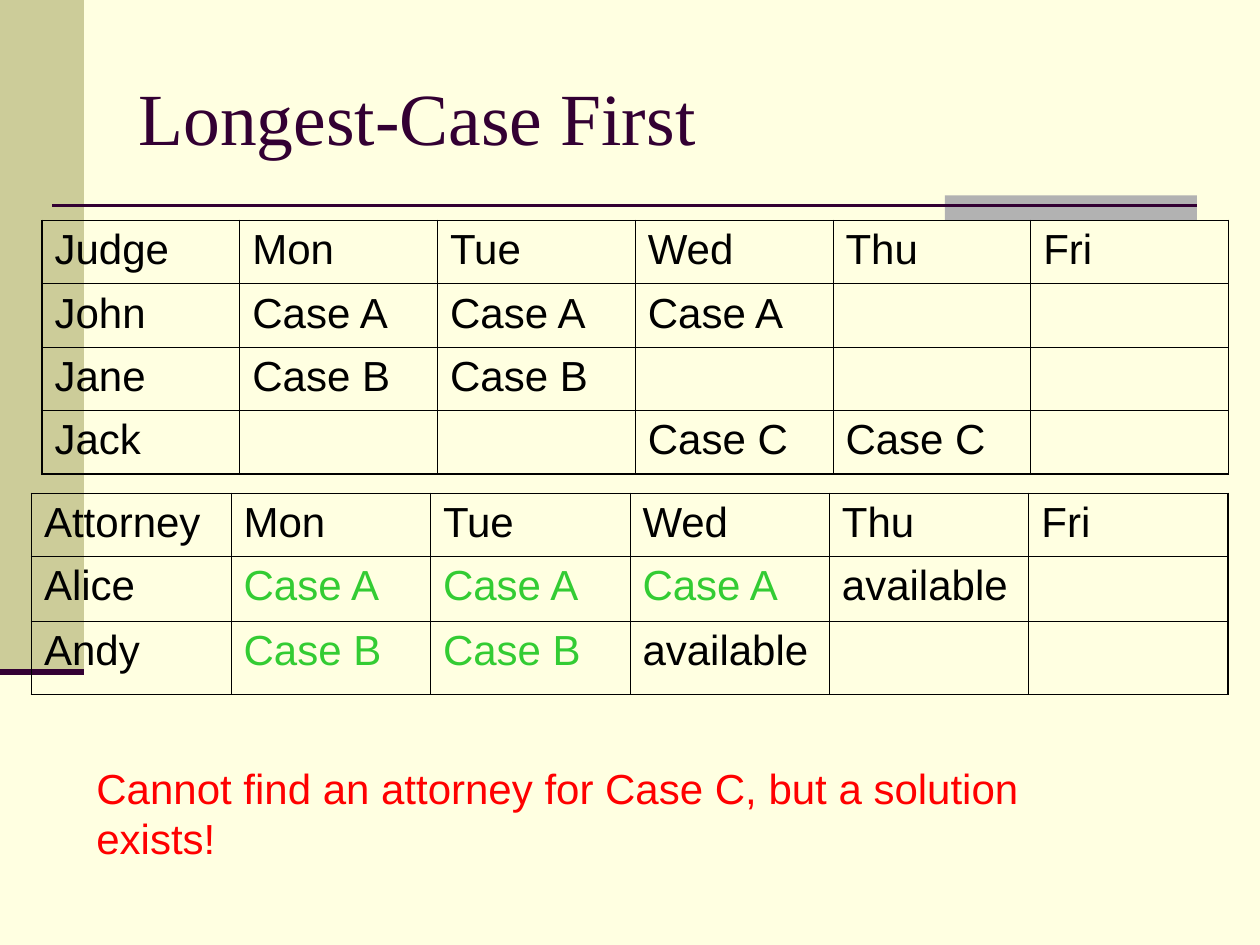
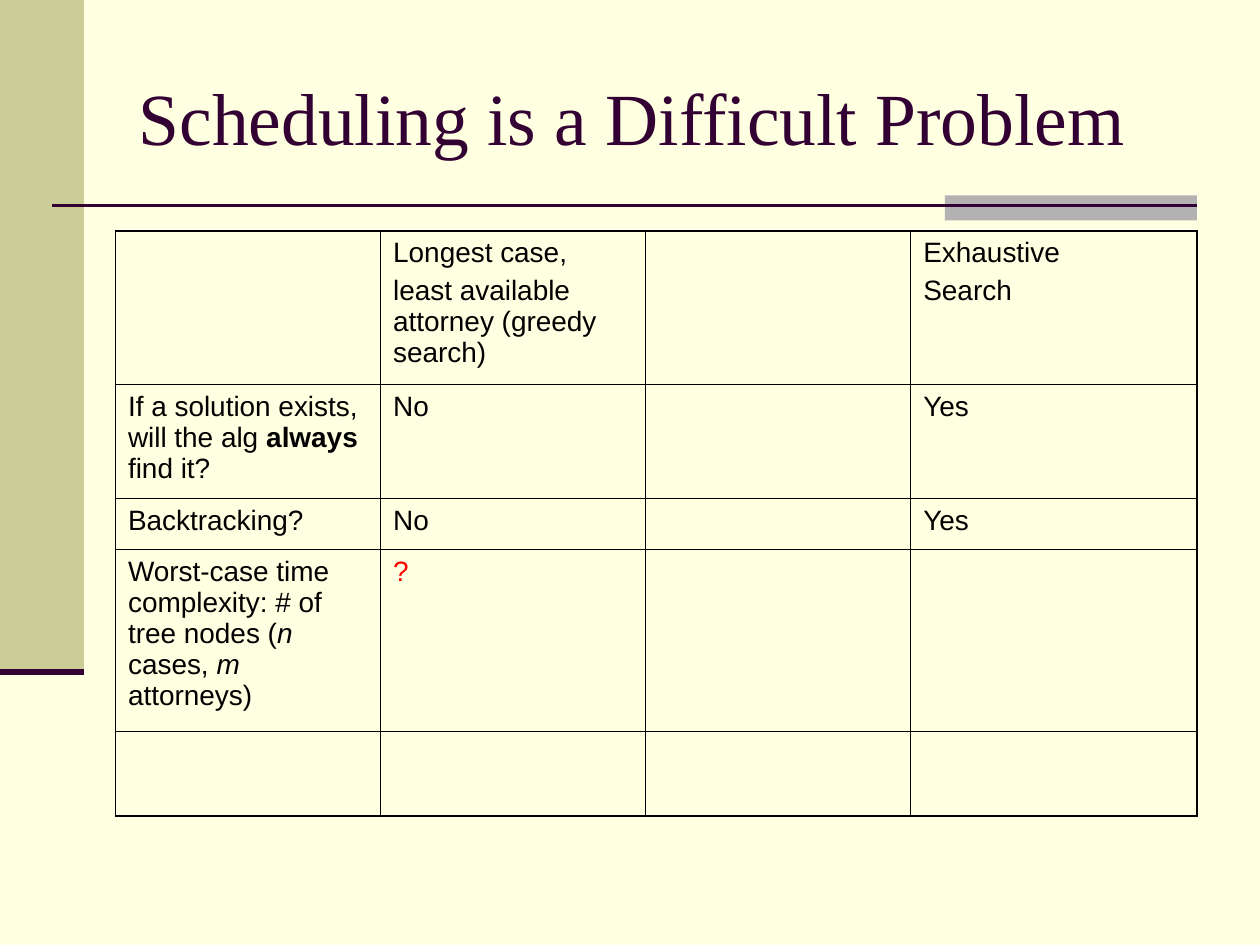
from dataclasses import dataclass

from lxml import etree
from pptx import Presentation
from pptx.dml.color import RGBColor
from pptx.enum.shapes import MSO_CONNECTOR, MSO_SHAPE
from pptx.enum.text import MSO_ANCHOR, MSO_AUTO_SIZE, PP_ALIGN
from pptx.oxml.ns import qn
from pptx.util import Inches, Pt

RECT = MSO_SHAPE.RECTANGLE
STRAIGHT = MSO_CONNECTOR.STRAIGHT
MIDDLE = MSO_ANCHOR.MIDDLE
LEFT = PP_ALIGN.LEFT
NO_FIT = MSO_AUTO_SIZE.NONE
GROW = MSO_AUTO_SIZE.SHAPE_TO_FIT_TEXT

TITLE_ONLY = 5
COLS, ROWS = 120, 90  # grid over the whole slide


@dataclass(frozen=True)
class Theme:
    paper: str = "FFFFE1"
    band: str = "CCCC99"
    tab: str = "B2B2B2"
    accent: str = "330033"
    ink: str = "000000"
    assigned: str = "33CC33"
    alert: str = "FF0000"
    title_font: str = "Times New Roman"
    body_font: str = "Arial"
    title_size: float = 42
    body_size: float = 24
    small_size: float = 16
    thin: float = 0.45
    edge: float = 1.08
    rule: float = 1.5
    heavy_rule: float = 3.5


def rgb(value):
    return RGBColor.from_string(value)


class Deck:
    def __init__(self, theme):
        self.theme = theme
        self.prs = Presentation()
        self.prs.slide_width, self.prs.slide_height = Inches(10), Inches(7.5)
        self.s = None

    # Grid
    def x(self, col):
        return round(self.prs.slide_width * col / COLS)

    def y(self, row):
        return round(self.prs.slide_height * row / ROWS)

    def box(self, col, row, width, height):
        return self.x(col), self.y(row), self.x(width), self.y(height)

    # Text
    def run(self, p, text, size, color=None, font=None, bold=False, italic=False):
        r = p.add_run()
        r.text = text
        f = r.font
        f.name, f.size = font or self.theme.body_font, Pt(size)
        f.bold, f.italic = bold, italic
        f.color.rgb = rgb(color or self.theme.ink)

    def add_text(self, tf, paragraphs, size, gap=0):
        """Each paragraph is a list of (text, style) runs."""
        for i, runs in enumerate(paragraphs):
            p = tf.add_paragraph() if i else tf.paragraphs[0]
            if i:
                p.space_before = Pt(gap)
            for text, style in runs:
                self.run(p, text, size, **style)

    # Shapes
    def rect(self, color, *area):
        sp = self.s.shapes.add_shape(RECT, *self.box(*area))
        sp.shadow.inherit = False
        sp.fill.solid()
        sp.fill.fore_color.rgb = rgb(color)
        sp.line.fill.background()
        return sp

    def rule(self, col1, col2, row, width):
        ln = self.s.shapes.add_connector(
            STRAIGHT, self.x(col1), self.y(row), self.x(col2), self.y(row))
        ln.line.color.rgb = rgb(self.theme.accent)
        ln.line.width = Pt(width)
        etree.SubElement(ln.element.spPr, qn("a:effectLst"))
        return ln

    # Slides and their shared frame
    def slide(self, title):
        self.s = self.prs.slides.add_slide(self.prs.slide_layouts[TITLE_ONLY])
        if len(self.prs.slides) == 1:
            self.frame()
        sp = self.s.shapes.title
        sp.left, sp.top, sp.width, sp.height = self.box(12, 3.6, 102, 15)
        tf = sp.text_frame
        tf.word_wrap, tf.auto_size, tf.vertical_anchor = True, NO_FIT, MIDDLE
        tf.paragraphs[0].alignment = LEFT
        style = {"color": self.theme.accent, "font": self.theme.title_font}
        self.add_text(tf, [[(title, style)]], self.theme.title_size)

    def frame(self):
        """Draw the bands and rules, then move them to the slide master."""
        t, master = self.theme, self.prs.slide_master
        master.background.fill.solid()
        master.background.fill.fore_color.rgb = rgb(t.paper)
        parts = [
            self.rect(t.band, 0, 0, 8, 64),
            self.rect(t.tab, 90, 18.6, 24, 2.4),
            self.rule(5, 114, 19.6, t.rule),
            self.rule(0, 8, 64, t.heavy_rule),
        ]
        for i, part in enumerate(parts):
            part.element.xpath(".//p:cNvPr")[0].set("id", str(100 + i))
            master.element.cSld.spTree.insert(2 + i, part.element)

    # Tables
    def border(self, cell, side, width):
        ln = etree.SubElement(cell._tc.get_or_add_tcPr(), qn(f"a:ln{side}"),
                              w=str(Pt(width)))
        fill = etree.SubElement(ln, qn("a:solidFill"))
        etree.SubElement(fill, qn("a:srgbClr"), val=self.theme.ink)

    def table(self, col, row, widths, heights, cells, size, gap=0):
        """Each cell is None, a string, or a list of paragraphs."""
        t = self.theme
        area = self.box(col, row, sum(widths), sum(heights))
        tbl = self.s.shapes.add_table(len(heights), len(widths), *area).table
        tbl.first_row = tbl.horz_banding = False
        for column, width in zip(tbl.columns, widths):
            column.width = self.x(width)
        last_r, last_c = len(heights) - 1, len(widths) - 1
        for r, height in enumerate(heights):
            tbl.rows[r].height = self.y(height)
            for c in range(len(widths)):
                cell = tbl.cell(r, c)
                outer = {"L": c == 0, "R": c == last_c, "T": r == 0, "B": r == last_r}
                for side, is_edge in outer.items():
                    self.border(cell, side, t.edge if is_edge else t.thin)
                cell.fill.background()
                content = cells[r][c]
                if content:
                    if isinstance(content, str):
                        content = [[(content, {})]]
                    self.add_text(cell.text_frame, content, size, gap)

    def caption(self, text, color, *area):
        tf = self.s.shapes.add_textbox(*self.box(*area)).text_frame
        tf.word_wrap, tf.auto_size = False, GROW
        self.add_text(tf, [[(text, {"color": color})]], self.theme.body_size)


def longest_case_first(deck):
    t = deck.theme
    days = ["Mon", "Tue", "Wed", "Thu", "Fri"]
    case_a, case_b = ([[(name, {"color": t.assigned})]] for name in ("Case A", "Case B"))
    deck.slide("Longest-Case First")

    # Judges' week
    judges = [
        ["Judge", *days],
        ["John", *["Case A"] * 3, None, None],
        ["Jane", *["Case B"] * 2, None, None, None],
        ["Jack", None, None, *["Case C"] * 2, None],
    ]
    deck.table(4, 21, [113 / 6] * 6, [6.03] * 4, judges, t.body_size)

    # Attorneys' week
    attorneys = [
        ["Attorney", *days],
        ["Alice", *[case_a] * 3, "available", None],
        ["Andy", *[case_b] * 2, "available", None, None],
    ]
    deck.table(3, 47, [19] * 6, [6, 6.15, 7], attorneys, t.body_size)

    deck.caption("Cannot find an attorney for Case C, but a solution exists!",
                 t.alert, 8, 72, 102.6, 6)


def difficult_problem(deck):
    t = deck.theme
    bold, italic = {"bold": True}, {"italic": True}
    deck.slide("Scheduling is a Difficult Problem")

    # Comparison of search methods
    greedy = [[("Longest case,", {})],
              [("least available attorney (greedy search)", {})]]
    exhaustive = [[("Exhaustive", {})], [("Search", {})]]
    finds_solution = [[("If a solution exists, will the alg ", {}),
                       ("always", bold), (" find it?", {})]]
    complexity = [[("Worst-case time complexity: # of tree nodes (", {}),
                   ("n", italic), (" cases, ", {}),
                   ("m", italic), (" attorneys)", {})]]
    unknown = [[("?", {"color": t.alert})]]
    methods = [
        [None, greedy, None, exhaustive],
        [finds_solution, "No", None, "Yes"],
        ["Backtracking?", "No", None, "Yes"],
        [complexity, unknown, None, None],
        [None] * 4,
    ]
    deck.table(11, 22, [25.25] * 3 + [27.25], [14.65, 10.85, 4.75, 17.25, 8.1],
               methods, t.small_size, gap=4)


def main():
    deck = Deck(Theme())
    longest_case_first(deck)
    difficult_problem(deck)
    deck.prs.save("out.pptx")


if __name__ == "__main__":
    main()
